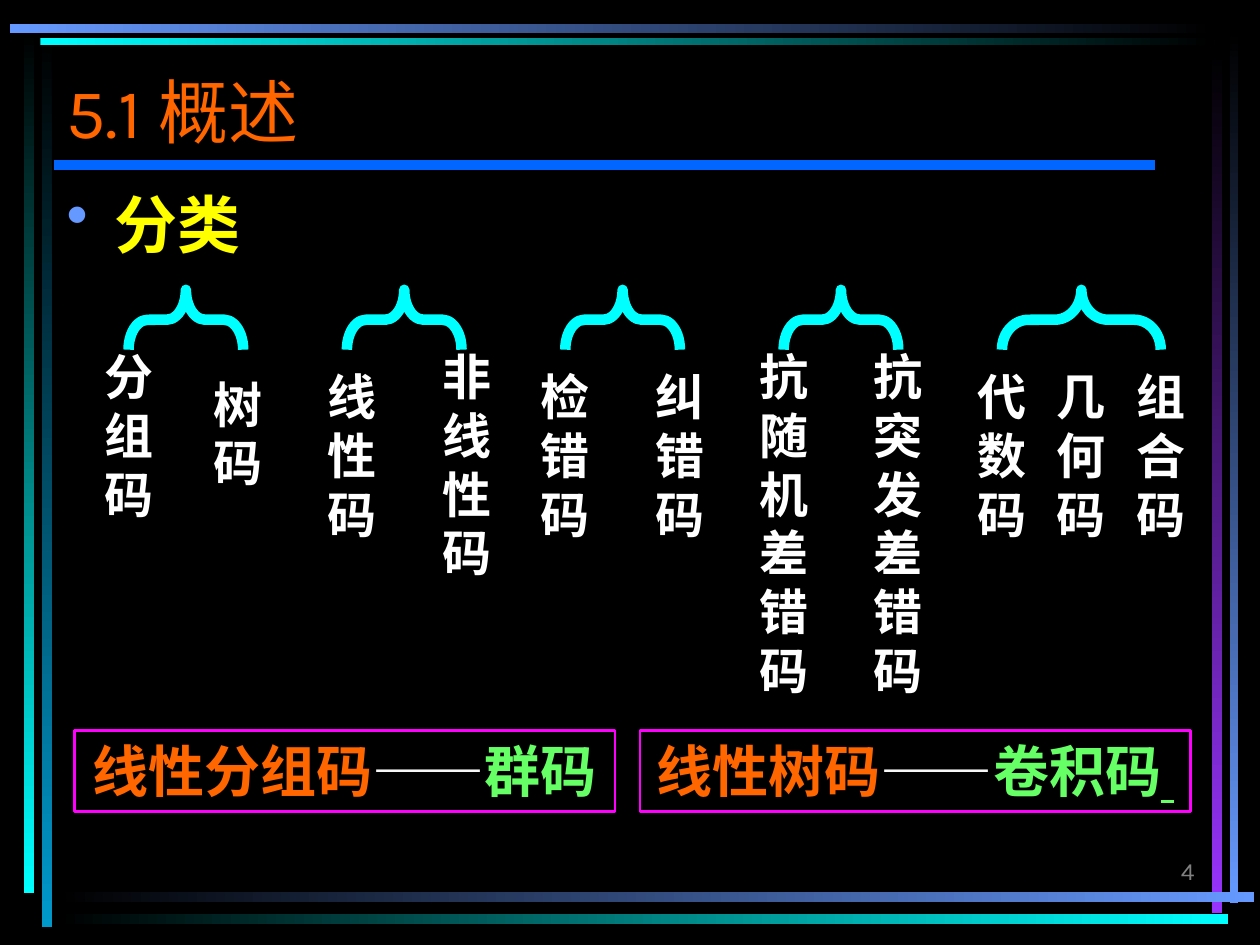
from dataclasses import dataclass

from pptx import Presentation
from pptx.dml.color import RGBColor
from pptx.enum.shapes import MSO_CONNECTOR as Connector, MSO_SHAPE as Shape
from pptx.enum.text import MSO_ANCHOR as Anchor, PP_ALIGN as Align
from pptx.oxml import parse_xml
from pptx.oxml.ns import nsdecls
from pptx.util import Inches, Pt

SLIDE_WIDTH, SLIDE_HEIGHT = Inches(10), Inches(7.5)
COLUMN, ROW = SLIDE_WIDTH / 100, SLIDE_HEIGHT / 75


@dataclass(frozen=True)
class Theme:
    black: str = "000000"
    cyan: str = "00FFFF"
    teal: str = "0099CC"
    periwinkle: str = "6699FF"
    violet: str = "9933FF"
    blue: str = "0066FF"
    orange: str = "FF6600"
    yellow: str = "FFFF00"
    white: str = "FFFFFF"
    dash: str = "F8F8F8"
    green: str = "66FF66"
    magenta: str = "FF00FF"
    grey: str = "808080"
    heading_font: str = "Karla"
    body_font: str = "Times New Roman"
    dash_font: str = "Arial"
    title_size: int = 40
    topic_size: int = 36
    pair_size: int = 32
    leaf_size: int = 28
    number_size: int = 14
    heavy_line: float = 6
    thin_line: float = 1.5


@dataclass(frozen=True)
class Box:
    left: float
    top: float
    width: float
    height: float

    def inner(self, left, top, width, height):
        return Box(self.left + left, self.top + top, width, height)

    def emu(self):
        return (round(self.left * COLUMN), round(self.top * ROW),
                round(self.width * COLUMN), round(self.height * ROW))


THEME = Theme()
FAMILIES = [
    (9.1, [(0, 27, "分组码"), (8.7, 29.2, "树码")]),
    (9.1, [(0.4, 28.6, "线性码"), (9.5, 27, "非线性码")]),
    (9.1, [(0, 28.6, "检错码"), (9.1, 28.6, "纠错码")]),
    (9.1, [(0, 27, "抗随机差错码"), (9.1, 27, "抗突发差错码")]),
    (12.6, [(0, 28.6, "代数码"), (6.3, 28.6, "几何码"), (12.6, 28.6, "组合码")]),
]


def color(value):
    return RGBColor.from_string(value)


def style_run(run, font, size, value, bold=False):
    run.font.name = font
    run.font.size = Pt(size)
    run.font.color.rgb = color(value)
    run.font.bold = bold


def add_text(slide, box, text, font, size, value, bold=False,
             align=Align.LEFT, anchor=Anchor.TOP):
    frame = slide.shapes.add_textbox(*box.emu()).text_frame
    frame.word_wrap = True
    frame.vertical_anchor = anchor
    frame.text = text
    paragraph = frame.paragraphs[0]
    paragraph.alignment = align
    style_run(paragraph.runs[0], font, size, value, bold)
    return paragraph


def add_plain_shape(slide, preset, box):
    shape = slide.shapes.add_shape(preset, *box.emu())
    shape.shadow.inherit = False
    return shape


def add_bar(slide, box, start, end):
    bar = add_plain_shape(slide, Shape.RECTANGLE, box)
    bar.line.fill.background()
    bar.fill.gradient()
    bar.fill.gradient_angle = 0 if box.width > box.height else 270
    for stop, value, position in zip(bar.fill.gradient_stops, (start, end), (0, 1)):
        stop.color.rgb = color(value)
        stop.position = position


def add_border(slide, box):
    bars = [
        ((3.3, 2.8, 0.8, 70.8), THEME.black, THEME.teal),
        ((1.9, 2.5, 0.8, 68.4), THEME.black, THEME.cyan),
        ((97.6, 2.4, 0.7, 69.3), THEME.black, THEME.periwinkle),
        ((96.2, 4.2, 0.8, 68.3), THEME.black, THEME.violet),
        ((4.5, 70.8, 95, 0.8), THEME.black, THEME.periwinkle),
        ((4.5, 72.5, 93, 0.8), THEME.black, THEME.cyan),
        ((3.2, 3, 93.2, 0.6), THEME.cyan, THEME.black),
        ((0.8, 1.9, 95.6, 0.7), THEME.periwinkle, THEME.black),
    ]
    for place, start, end in bars:
        add_bar(slide, box.inner(*place), start, end)


def add_header(slide, box):
    left, _, width, _ = box.emu()
    rule_y = round((box.top + 8.9) * ROW)
    rule = slide.shapes.add_connector(Connector.STRAIGHT, left, rule_y, left + width, rule_y)
    rule.line.color.rgb = color(THEME.blue)
    rule.line.width = Pt(THEME.heavy_line)
    rule._element.spPr.append(parse_xml(f"<a:effectLst {nsdecls('a')}/>"))
    add_text(slide, box, "5.1 概述", THEME.heading_font, THEME.title_size,
             THEME.orange, anchor=Anchor.MIDDLE)


def add_topic(slide, box):
    topic = add_text(slide, box, "分类", THEME.heading_font, THEME.topic_size,
                     THEME.yellow, bold=True)
    properties = topic._p.get_or_add_pPr()
    properties.set("marL", str(Inches(0.38)))
    properties.set("indent", str(-Inches(0.38)))
    properties.append(parse_xml(
        f'<a:buClr {nsdecls("a")}><a:srgbClr val="{THEME.periwinkle}"/></a:buClr>'))
    properties.append(parse_xml(f'<a:buChar {nsdecls("a")} char="•"/>'))


def add_family(slide, box, leaves):
    depth = box.height
    brace = add_plain_shape(slide, Shape.LEFT_BRACE, box.inner(
        (box.width - depth) / 2, (depth - box.width) / 2, depth, box.width))
    brace.rotation = 90
    brace.adjustments[0] = box.width / 6 / depth
    brace.fill.background()
    brace.line.color.rgb = color(THEME.cyan)
    brace.line.width = Pt(THEME.heavy_line)
    for center, top, name in leaves:
        leaf = box.inner(center - 3.15, top - box.top, 6.3, 1 + 4.67 * len(name))
        add_text(slide, leaf, name, THEME.body_font, THEME.leaf_size,
                 THEME.white, bold=True, align=Align.CENTER)


def add_pair(slide, box, block_code, family_code, tail=""):
    frame_shape = add_plain_shape(slide, Shape.RECTANGLE, box)
    frame_shape.fill.background()
    frame_shape.line.color.rgb = color(THEME.magenta)
    frame_shape.line.width = Pt(THEME.thin_line)
    frame = frame_shape.text_frame
    frame.word_wrap = True
    frame.vertical_anchor = Anchor.TOP
    paragraph = frame.paragraphs[0]
    paragraph.alignment = Align.CENTER
    pieces = [(block_code, THEME.body_font, THEME.orange),
              ("——", THEME.dash_font, THEME.dash),
              (family_code, THEME.body_font, THEME.green)]
    if tail:
        pieces.append((tail, THEME.body_font, THEME.green))
    for text, font, value in pieces:
        run = paragraph.add_run()
        run.text = text
        style_run(run, font, THEME.pair_size, value, bold=True)
    if tail:
        run.font.underline = True


def main():
    deck = Presentation()
    deck.slide_width, deck.slide_height = SLIDE_WIDTH, SLIDE_HEIGHT
    slide = deck.slides.add_slide(deck.slide_layouts[6])
    slide.background.fill.solid()
    slide.background.fill.fore_color.rgb = color(THEME.black)

    add_border(slide, Box(0, 0, 100, 75))
    add_header(slide, Box(4.3, 4.2, 87.4, 9.2))
    add_topic(slide, Box(4.3, 14.2, 91.4, 7.6))
    for index, (span, leaves) in enumerate(FAMILIES):
        add_family(slide, Box(10.2 + 17.33 * index, 23, span, 4.75), leaves)
    add_pair(slide, Box(5.9, 58, 42.9, 6.4), "线性分组码", "群码")
    add_pair(slide, Box(50.8, 58, 43.7, 6.4), "线性树码", "卷积码", tail=" ")
    add_text(slide, Box(75, 65.8, 20.8, 5), "4", THEME.heading_font,
             THEME.number_size, THEME.grey, align=Align.RIGHT, anchor=Anchor.BOTTOM)
    deck.save("out.pptx")


if __name__ == "__main__":
    main()
